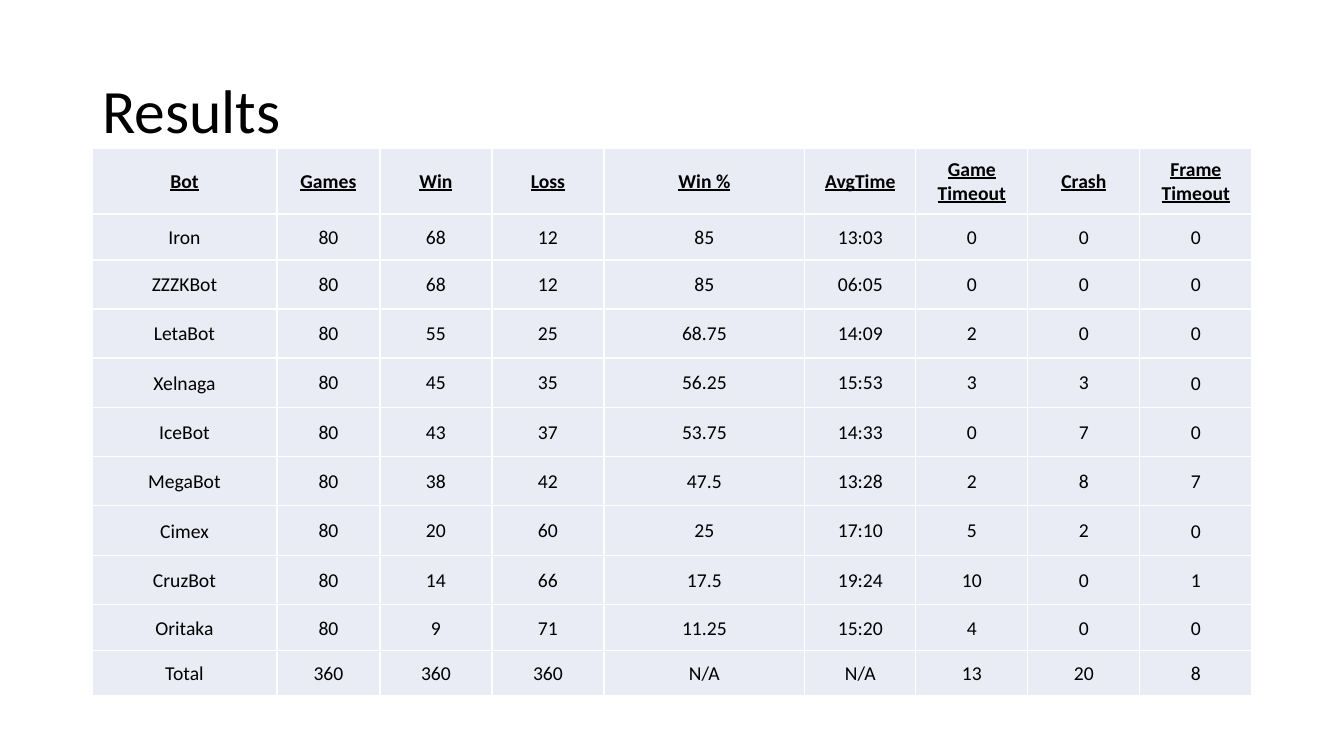
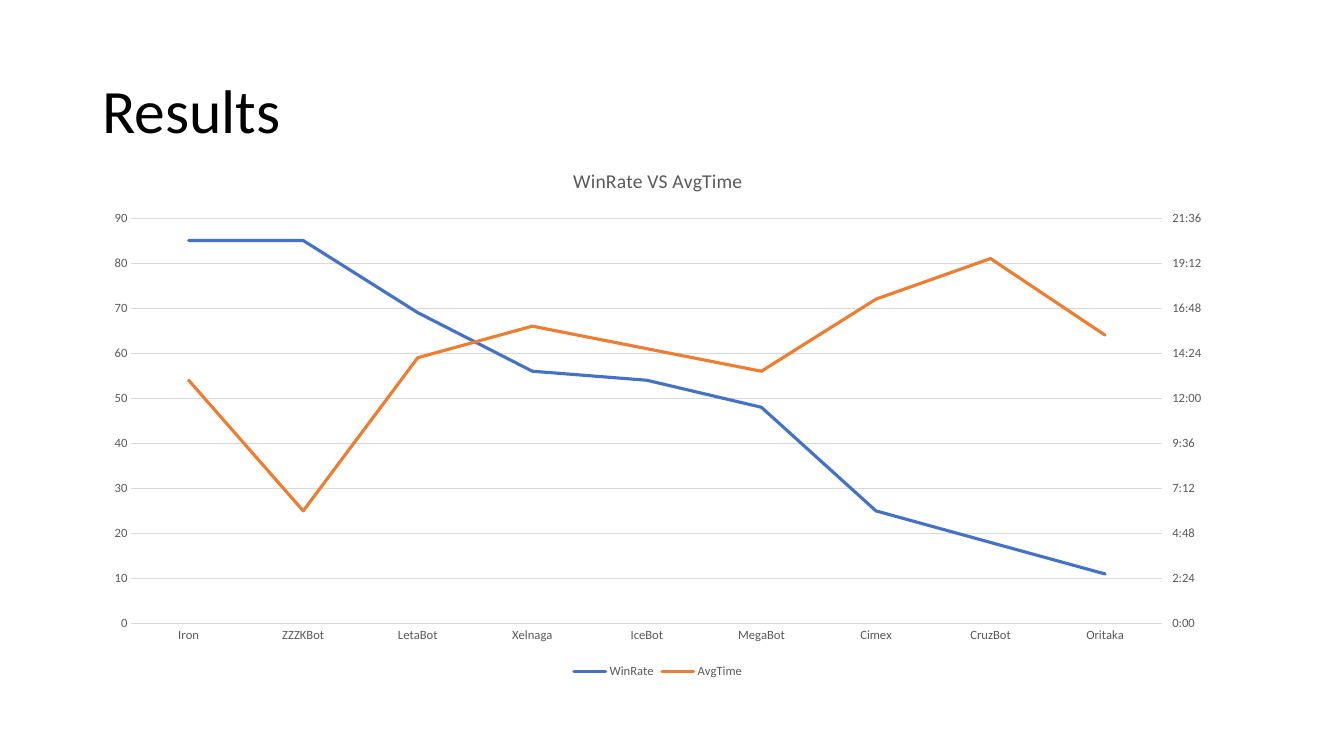
"""Build two slides of bot tournament results: a table and a two-axis line chart."""
import copy
import typing

import lxml.etree
import pptx
import pptx.chart.axis
import pptx.chart.chart
import pptx.chart.data
import pptx.dml.color
import pptx.enum.chart
import pptx.enum.text
import pptx.oxml.ns
import pptx.presentation
import pptx.slide
import pptx.table
import pptx.util

PX_PER_INCH = 100.8
FONT = "Calibri"
BLACK, WHITE, CELL = "000000", "FFFFFF", "E9EBF5"
GREY, RULE = "595959", "D9D9D9"
BLUE, ORANGE = "4472C4", "ED7D31"
LEFT, CONTENT_TOP = 92, 148
qn = pptx.oxml.ns.qn
Ticks = pptx.enum.chart.XL_TICK_MARK


class Column(typing.NamedTuple):
    """Heading and width of a table column."""
    head: str
    width: int


class Result(typing.NamedTuple):
    """One row of the results."""
    bot: str
    games: str
    win: str
    loss: str
    rate: str
    time: str
    game_timeout: str
    crash: str
    frame_timeout: str


class Scale(typing.NamedTuple):
    """Range, number format and tick marks of a value axis."""
    top: float
    step: float
    number_format: str
    ticks: Ticks


COLUMNS = [
    Column("Bot", 185), Column("Games", 103), Column("Win", 112), Column("Loss", 112),
    Column("Win %", 201), Column("AvgTime", 111), Column("Game Timeout", 112),
    Column("Crash", 112), Column("Frame Timeout", 112),
]
BOTS = [
    Result("Iron", "80", "68", "12", "85", "13:03", "0", "0", "0"),
    Result("ZZZKBot", "80", "68", "12", "85", "06:05", "0", "0", "0"),
    Result("LetaBot", "80", "55", "25", "68.75", "14:09", "2", "0", "0"),
    Result("Xelnaga", "80", "45", "35", "56.25", "15:53", "3", "3", "0"),
    Result("IceBot", "80", "43", "37", "53.75", "14:33", "0", "7", "0"),
    Result("MegaBot", "80", "38", "42", "47.5", "13:28", "2", "8", "7"),
    Result("Cimex", "80", "20", "60", "25", "17:10", "5", "2", "0"),
    Result("CruzBot", "80", "14", "66", "17.5", "19:24", "10", "0", "1"),
    Result("Oritaka", "80", "9", "71", "11.25", "15:20", "4", "0", "0"),
]
TOTAL = Result("Total", "360", "360", "360", "N/A", "N/A", "13", "20", "8")
ROW_HEIGHTS = [66, 46, 49, 49, 50, 49, 49, 50, 49, 46, 45]
RATE_SCALE = Scale(90, 10, "General", Ticks.NONE)
TIME_SCALE = Scale(0.9, 0.1, "h:mm", Ticks.OUTSIDE)


def px(n: int) -> pptx.util.Emu:
    """Turn pixels into EMU."""
    return pptx.util.Emu(round(n * 914400 / PX_PER_INCH))


def rgb(value: str) -> pptx.dml.color.RGBColor:
    """Turn a hex string into a colour."""
    return pptx.dml.color.RGBColor.from_string(value)


def set_font(font, size: int, color: str, bold: bool = False) -> None:
    """Set the deck's typeface with a size, colour and weight."""
    font.name, font.size, font.bold = FONT, pptx.util.Pt(size), bold
    font.color.rgb = rgb(color)


def set_line(line, color: str, width: float) -> None:
    """Give a line a colour and a width in points."""
    line.color.rgb = rgb(color)
    line.width = pptx.util.Pt(width)


def add_slide(prs: pptx.presentation.Presentation, title: str) -> pptx.slide.Slide:
    """Add a title-only slide with the shared title style."""
    slide = prs.slides.add_slide(prs.slide_layouts[5])
    sp = slide.shapes.title
    sp.left, sp.top, sp.width, sp.height = px(LEFT), px(41), px(1160), px(146)
    tf = sp.text_frame
    tf.auto_size = pptx.enum.text.MSO_AUTO_SIZE.NONE
    tf.vertical_anchor = pptx.enum.text.MSO_ANCHOR.MIDDLE
    p = tf.paragraphs[0]
    p.alignment = pptx.enum.text.PP_ALIGN.LEFT
    p.line_spacing = 0.9
    r = p.add_run()
    r.text = title
    set_font(r.font, 44, BLACK)
    return slide


def add_borders(cell: pptx.table._Cell, color: str) -> None:
    """Draw a one-point border on all sides of a cell."""
    props = cell._tc.get_or_add_tcPr()
    for i, side in enumerate("LRTB"):
        ln = lxml.etree.Element(qn(f"a:ln{side}"), w=str(pptx.util.Pt(1)))
        fill = lxml.etree.SubElement(ln, qn("a:solidFill"))
        lxml.etree.SubElement(fill, qn("a:srgbClr"), val=color)
        props.insert(i, ln)


def fill_cell(cell: pptx.table._Cell, text: str, head: bool, inset: tuple[int, int]) -> None:
    """Write and format one table cell."""
    cell.fill.solid()
    cell.fill.fore_color.rgb = rgb(CELL)
    add_borders(cell, WHITE)
    cell.vertical_anchor = pptx.enum.text.MSO_ANCHOR.MIDDLE
    cell.margin_left = cell.margin_right = px(1)
    cell.margin_top, cell.margin_bottom = map(px, inset)
    p = cell.text_frame.paragraphs[0]
    p.alignment = pptx.enum.text.PP_ALIGN.CENTER
    r = p.add_run()
    r.text = text
    set_font(r.font, 14, BLACK, head)
    r.font.underline = head


def add_results_table(slide: pptx.slide.Slide) -> None:
    """Add the table of all results."""
    rows = [[c.head for c in COLUMNS], *BOTS, TOTAL]
    frame = slide.shapes.add_table(
        len(rows), len(COLUMNS), px(LEFT), px(CONTENT_TOP),
        px(sum(c.width for c in COLUMNS)), px(sum(ROW_HEIGHTS)))
    table = frame.table
    table.first_row = table.horz_banding = False
    for col, column in zip(table.columns, COLUMNS):
        col.width = px(column.width)
    for i, (row, height, texts) in enumerate(zip(table.rows, ROW_HEIGHTS, rows)):
        row.height = px(height)
        for j, text in enumerate(texts):
            inner = 2 <= i <= 8 and 1 <= j <= 7
            fill_cell(table.cell(i, j), text, i == 0, (2, 2) if inner else (1, 0))


def day_fraction(time: str) -> float:
    """Turn a clock time into a fraction of a day."""
    hours, minutes = map(int, time.split(":"))
    return round((hours * 60 + minutes) / 1440, 2)


def style_value_axis(axis: pptx.chart.axis.ValueAxis, scale: Scale) -> None:
    """Apply a scale and the shared look to a value axis."""
    axis.minimum_scale, axis.maximum_scale, axis.major_unit = 0, scale.top, scale.step
    axis.major_tick_mark, axis.minor_tick_mark = scale.ticks, Ticks.NONE
    axis.format.line.fill.background()
    labels = axis.tick_labels
    labels.number_format, labels.number_format_is_linked = scale.number_format, False
    set_font(labels.font, 9, GREY)


def move_to_right_axis(chart: pptx.chart.chart.Chart, scale: Scale) -> None:
    """Move the last series to a second value axis on the right."""
    left = chart.plots[0]._element
    right = copy.deepcopy(left)
    left.remove(left.findall(qn("c:ser"))[-1])
    for ser in right.findall(qn("c:ser"))[:-1]:
        right.remove(ser)
    left.addnext(right)
    val_ax = copy.deepcopy(chart.value_axis._element)
    cat_ax = copy.deepcopy(chart.category_axis._element)
    ids = ("50010", "50020")
    for ax_id, value in zip(right.findall(qn("c:axId")), ids):
        ax_id.set("val", value)
    for ax, own, other in ((cat_ax, *ids), (val_ax, *ids[::-1])):
        ax.find(qn("c:axId")).set("val", own)
        ax.find(qn("c:crossAx")).set("val", other)
    val_ax.find(qn("c:axPos")).set("val", "r")
    val_ax.find(qn("c:crosses")).set("val", "max")
    chart.value_axis._element.addnext(val_ax)
    val_ax.addnext(cat_ax)
    pptx.chart.axis.CategoryAxis(cat_ax).visible = False
    axis = pptx.chart.axis.ValueAxis(val_ax)
    axis.has_major_gridlines = False
    style_value_axis(axis, scale)


def add_results_chart(slide: pptx.slide.Slide) -> None:
    """Add the line chart of win rate and average time."""
    data = pptx.chart.data.CategoryChartData()
    data.categories = [b.bot for b in BOTS]
    data.add_series("WinRate", [round(float(b.rate)) for b in BOTS])
    data.add_series("AvgTime", [day_fraction(b.time) for b in BOTS], "h:mm")
    chart = slide.shapes.add_chart(
        pptx.enum.chart.XL_CHART_TYPE.LINE,
        px(LEFT), px(CONTENT_TOP), px(1132), px(535), data).chart
    set_font(chart.font, 10, BLACK)

    chart.has_title = True
    r = chart.chart_title.text_frame.paragraphs[0].add_run()
    r.text = "WinRate VS AvgTime"
    set_font(r.font, 14, GREY)
    chart.chart_title.include_in_layout = False

    chart.has_legend = True
    chart.legend.position = pptx.enum.chart.XL_LEGEND_POSITION.BOTTOM
    chart.legend.include_in_layout = False
    set_font(chart.legend.font, 9, GREY)

    chart.plots[0].vary_by_categories = False
    for series, color in zip(chart.plots[0].series, (BLUE, ORANGE)):
        series.smooth = False
        set_line(series.format.line, color, 2.25)
        series._element.find(f"{qn('c:spPr')}/{qn('a:ln')}").set("cap", "rnd")

    cat_axis = chart.category_axis
    cat_axis.major_tick_mark = cat_axis.minor_tick_mark = Ticks.NONE
    set_line(cat_axis.format.line, RULE, 0.75)
    set_font(cat_axis.tick_labels.font, 9, GREY)
    set_line(chart.value_axis.major_gridlines.format.line, RULE, 0.75)
    style_value_axis(chart.value_axis, RATE_SCALE)
    move_to_right_axis(chart, TIME_SCALE)


def main() -> None:
    """Build and save the deck."""
    prs = pptx.Presentation()
    prs.slide_width, prs.slide_height = px(1344), px(756)
    for add_content in (add_results_table, add_results_chart):
        add_content(add_slide(prs, "Results"))
    prs.save("out.pptx")


if __name__ == "__main__":
    main()
